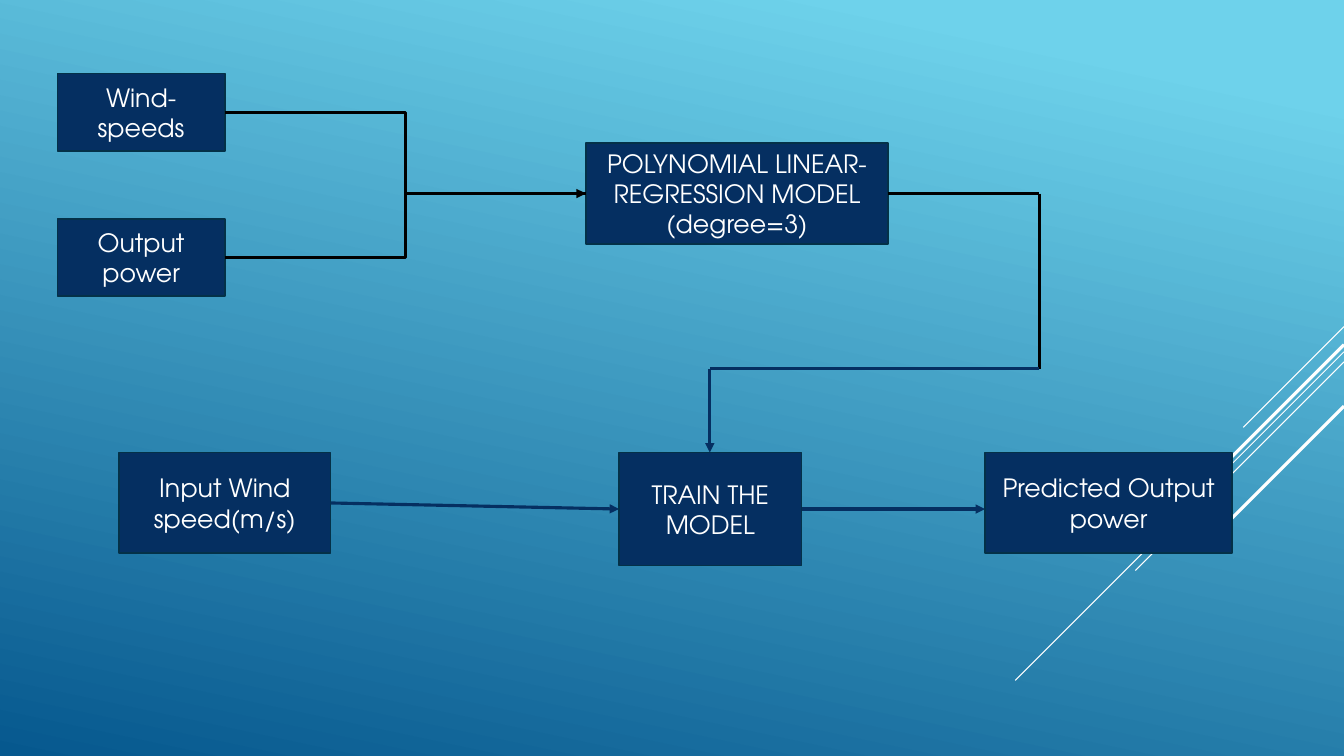
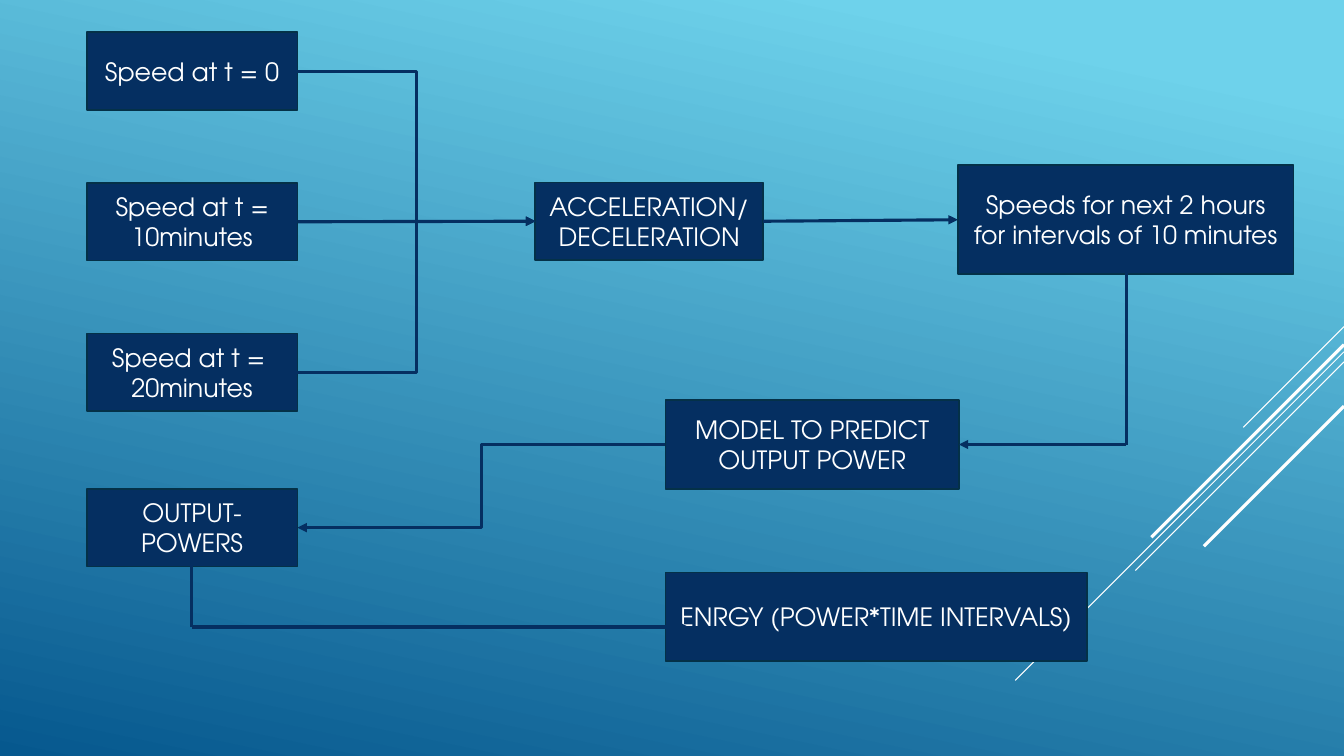
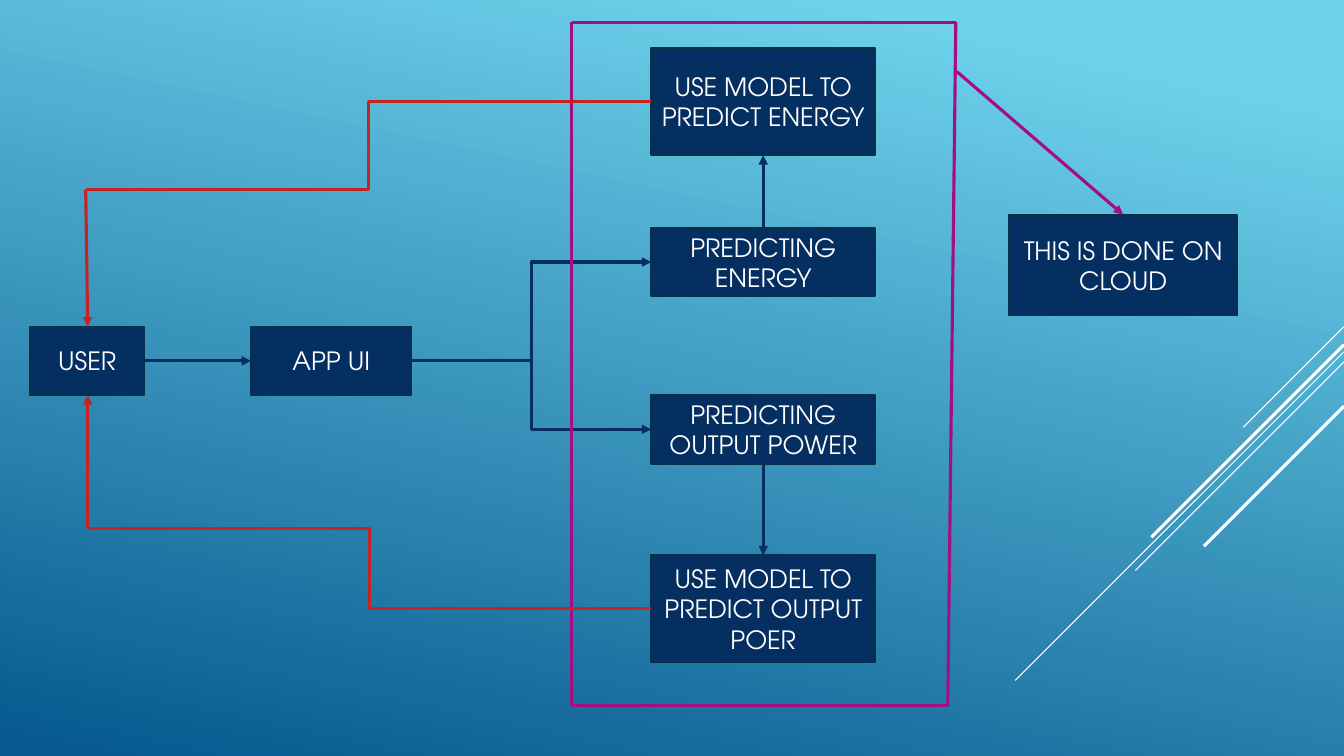
from dataclasses import dataclass
from itertools import pairwise
from typing import Any

from lxml import etree
from pptx import Presentation
from pptx.dml.color import RGBColor
from pptx.enum import shapes, text
from pptx.oxml import ns
from pptx.util import Inches, Pt

COLORS = {
    "sky": "6ED2EB",
    "deep": "06588E",
    "navy": "052F61",
    "edge": "043148",
    "white": "FFFFFF",
    "black": "000000",
    "purple": "A50E82",
    "red": "C62324",
}
FONT = "TeX Gyre Adventor"
STRAIGHT = shapes.MSO_CONNECTOR.STRAIGHT
ELBOW = shapes.MSO_CONNECTOR.ELBOW
TOP, LEFT, BOTTOM, RIGHT = range(4)
RAYS = [
    ((13.33, 3.24), 1, 0.75),
    ((13.33, 3.49), 3.26, 0.75),
    ((13.33, 3.59), 2.07, 0.75),
    ((13.33, 3.42), 1.91, 2.25),
    ((13.33, 4.03), 1.39, 2.25),
]


def color(name):
    return RGBColor.from_string(COLORS[name])


@dataclass
class Region:
    page: Any
    left: float = 0
    top: float = 0

    def node(self, wording, left, top, width, height):
        box = self.page.shapes.add_shape(
            shapes.MSO_SHAPE.RECTANGLE,
            Inches(self.left + left), Inches(self.top + top),
            Inches(width), Inches(height),
        )
        box.shadow.inherit = False
        box.fill.solid()
        box.fill.fore_color.rgb = color("navy")
        box.line.color.rgb = color("edge")
        box.line.width = Pt(1.25)
        frame = box.text_frame
        frame.word_wrap = True
        frame.vertical_anchor = text.MSO_ANCHOR.MIDDLE
        frame.text = wording
        for para in frame.paragraphs:
            para.alignment = text.PP_ALIGN.CENTER
            para.font.name = FONT
            para.font.size = Pt(18)
            para.font.color.rgb = color("white")
        return box

    def line(self, start, end, tint="navy", arrow=False, kind=STRAIGHT, weight=2.25):
        connector = self.page.shapes.add_connector(
            kind,
            Inches(self.left + start[0]), Inches(self.top + start[1]),
            Inches(self.left + end[0]), Inches(self.top + end[1]),
        )
        connector.line.color.rgb = color(tint)
        connector.line.width = Pt(weight)
        properties = connector.element.spPr
        if arrow:
            outline = properties.find(ns.qn("a:ln"))
            etree.SubElement(outline, ns.qn("a:tailEnd"), type="triangle")
        etree.SubElement(properties, ns.qn("a:effectLst"))
        return connector

    def route(self, points, tint="navy", arrow=False):
        legs = list(pairwise(points))
        for index, (start, end) in enumerate(legs):
            self.line(start, end, tint, arrow and index == len(legs) - 1)

    def link(self, source, source_side, target, target_side,
             tint="navy", arrow=True, kind=STRAIGHT):
        connector = self.line((0, 0), (1, 1), tint, arrow, kind)
        connector.begin_connect(source, source_side)
        connector.end_connect(target, target_side)


def add_page(deck):
    page = deck.slides.add_slide(deck.slide_layouts[6])
    fill = page.background.fill
    fill.gradient()
    fill.gradient_angle = 258
    for stop, name, position in zip(fill.gradient_stops, ("sky", "deep"), (0.1, 1)):
        stop.color.rgb = color(name)
        stop.position = position
    region = Region(page)
    for (x, y), reach, weight in RAYS:
        region.line((x, y), (x - reach, y + reach), "white", weight=weight)
    return page


def draw_model_inputs(region):
    model = region.node(
        "POLYNOMIAL LINEAR-\nREGRESSION MODEL\n(degree=3)", 5.24, 0.69, 3, 1)
    for index, wording in enumerate(("Wind-speeds", "Output power")):
        source = region.node(wording, 0, 1.44 * index, 1.66, 0.77)
        region.link(source, RIGHT, model, LEFT, "black", False, ELBOW)
    region.line((3.46, 1.19), (5.24, 1.19), "black", True)
    region.route([(8.24, 1.19), (9.74, 1.19), (9.74, 2.93)], "black")


def draw_model_training(region):
    train = region.node("TRAIN THE MODEL", 4.96, 0.83, 1.81, 1.12)
    wind = region.node("Input Wind speed(m/s)", 0, 0.83, 2.1, 1)
    region.node("Predicted Output power", 8.59, 0.83, 2.45, 1)
    region.route([(9.13, 0), (5.86, 0), (5.86, 0.83)], arrow=True)
    region.link(wind, RIGHT, train, LEFT)
    region.line((6.77, 1.39), (8.59, 1.39), arrow=True)


def draw_speed_forecast(region):
    change = region.node("ACCELERATION/DECELERATION", 4.45, 1.49, 2.26, 0.77)
    wordings = ("Speed at t = 0", "Speed at t = 10minutes", "Speed at t = \n20minutes")
    for index, wording in enumerate(wordings):
        speed = region.node(wording, 0, 1.495 * index, 2.09, 0.77)
        kind = STRAIGHT if index == 1 else ELBOW
        region.link(speed, RIGHT, change, LEFT, kind=kind)
    forecast = region.node(
        "Speeds for next 2 hours for intervals of 10 minutes", 8.64, 1.32, 3.33, 1.08)
    region.link(change, RIGHT, forecast, LEFT)


def draw_energy_steps(region):
    model = region.node("MODEL TO PREDICT OUTPUT POWER", 5.74, 0, 2.91, 0.88)
    powers = region.node("OUTPUT-POWERS", 0, 0.88, 2.09, 0.77)
    region.node("ENRGY (POWER*TIME INTERVALS)", 5.74, 1.71, 4.18, 0.88)
    region.route([(10.31, -1.26), (10.31, 0.44), (8.65, 0.44)], arrow=True)
    region.link(model, LEFT, powers, RIGHT, kind=ELBOW)
    region.route([(1.04, 1.65), (1.04, 2.25), (5.97, 2.25)], arrow=True)


def draw_user_and_app(region):
    user = region.node("USER", 0, 0, 1.13, 0.68)
    app = region.node("APP UI", 2.19, 0, 1.59, 0.68)
    region.link(user, RIGHT, app, LEFT)
    return app


def draw_cloud_models(region, app):
    energy = region.node("PREDICTING ENERGY", 0.79, 2.04, 2.22, 0.68)
    power = region.node("PREDICTING OUTPUT POWER", 0.79, 3.7, 2.22, 0.68)
    energy_model = region.node("USE MODEL TO PREDICT ENERGY", 0.79, 0.26, 2.22, 1.06)
    power_model = region.node("USE MODEL TO PREDICT OUTPUT POER", 0.79, 5.29, 2.22, 1.06)
    for target in (energy, power):
        region.link(app, RIGHT, target, LEFT, kind=ELBOW)
    region.link(energy, TOP, energy_model, BOTTOM)
    region.link(power, BOTTOM, power_model, TOP)
    region.route([(3.81, 0), (0, 0), (0, 6.78), (3.73, 6.78), (3.81, 0)], "purple")
    cloud = region.node("THIS IS DONE ON CLOUD", 4.34, 1.91, 2.26, 1)
    pointer = region.line((3.82, 0.49), (5.46, 1.91), "purple", True)
    pointer.end_connect(cloud, TOP)


def draw_returns(region):
    region.line((6.46, 1.01), (0.85, 1.88), "red", kind=ELBOW)
    region.line((0.85, 1.88), (0.87, 3.24), "red", True)
    region.line((6.46, 6.04), (0.87, 5.24), "red", kind=ELBOW)
    region.line((0.87, 5.24), (0.87, 3.92), "red", True)


def main():
    deck = Presentation()
    deck.slide_width = Inches(13.33)
    deck.slide_height = Inches(7.5)

    page = add_page(deck)
    draw_model_inputs(Region(page, 0.57, 0.73))
    draw_model_training(Region(page, 1.18, 3.66))

    page = add_page(deck)
    draw_speed_forecast(Region(page, 0.86, 0.32))
    draw_energy_steps(Region(page, 0.86, 3.97))

    page = add_page(deck)
    app = draw_user_and_app(Region(page, 0.3, 3.24))
    draw_cloud_models(Region(page, 5.67, 0.22), app)
    draw_returns(Region(page))

    deck.save("out.pptx")


if __name__ == "__main__":
    main()
